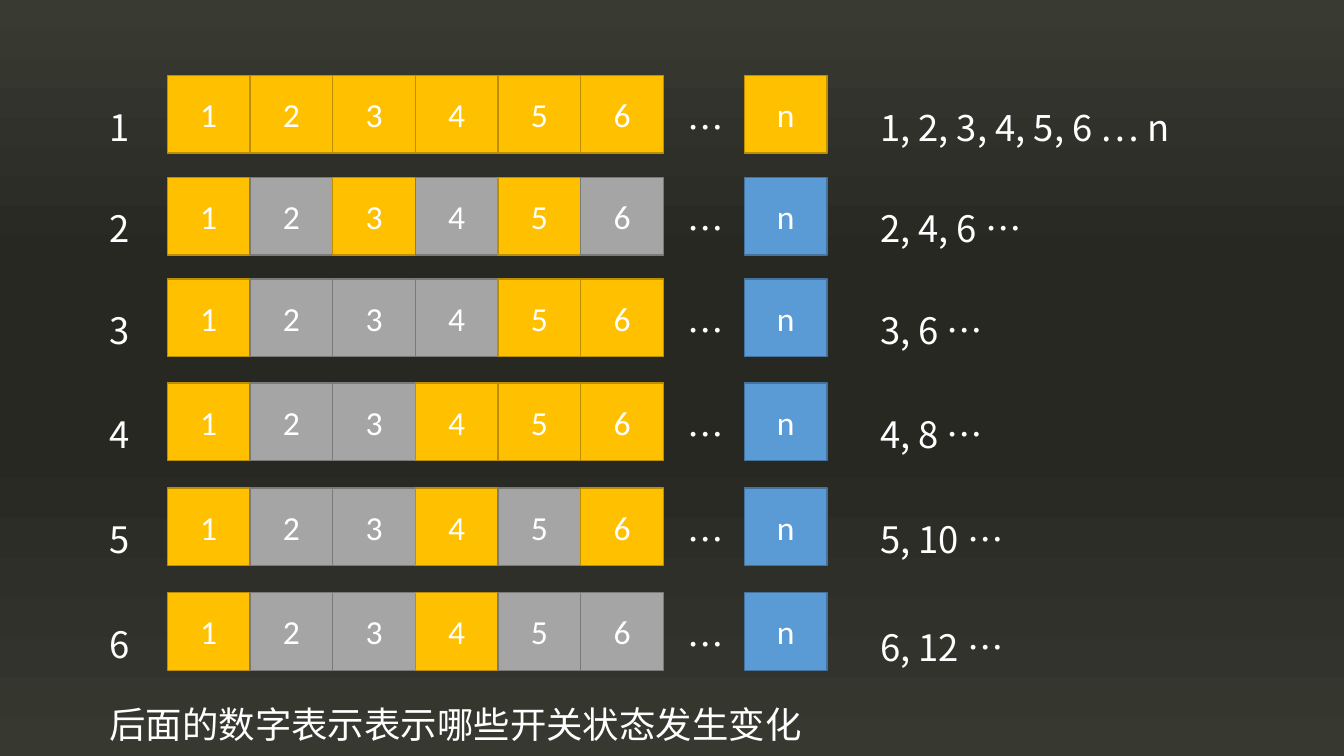
from pptx import Presentation
from pptx.dml.color import RGBColor
from pptx.enum.lang import MSO_LANGUAGE_ID
from pptx.enum.shapes import MSO_SHAPE
from pptx.enum.text import MSO_ANCHOR, MSO_AUTO_SIZE, PP_ALIGN
from pptx.oxml import parse_xml
from pptx.oxml.ns import nsdecls
from pptx.util import Inches, Pt

RECTANGLE = MSO_SHAPE.RECTANGLE
MIDDLE, TOP = MSO_ANCHOR.MIDDLE, MSO_ANCHOR.TOP
CENTER, LEFT = PP_ALIGN.CENTER, PP_ALIGN.LEFT
GROW = MSO_AUTO_SIZE.SHAPE_TO_FIT_TEXT
CHINESE, ENGLISH = MSO_LANGUAGE_ID.SIMPLIFIED_CHINESE, MSO_LANGUAGE_ID.ENGLISH_US

# Colours: each switch state is a fill and its outline
WHITE = RGBColor(0xFF, 0xFF, 0xFF)
ON = RGBColor(0xFF, 0xC0, 0x00), RGBColor(0xBD, 0x8E, 0x00)
OFF = RGBColor(0xA5, 0xA5, 0xA5), RGBColor(0x7A, 0x7A, 0x7A)
UNKNOWN = RGBColor(0x5B, 0x9B, 0xD5), RGBColor(0x43, 0x73, 0x9E)
BACKDROP = (
    (0, RGBColor(0x39, 0x3A, 0x32)),
    (35, RGBColor(0x27, 0x28, 0x22)),
    (58, RGBColor(0x27, 0x28, 0x22)),
    (100, RGBColor(0x37, 0x38, 0x30)),
)

# Grid: column 0 is the first switch; row tops are in inches
GRID_LEFT, COLUMN, CELL_WIDTH, CELL_HEIGHT = 1.66, 0.82, 0.82, 0.77
ROW_TOPS = (0.75, 1.76, 2.77, 3.8, 4.84, 5.88)
LABEL_COLUMN, DOTS_COLUMN, N_COLUMN, CHANGES_COLUMN = -0.82, 6.17, 6.98, 8.5
TEXT_DROP, TEXT_HEIGHT = 0.24, 0.54
SWITCHES = range(1, 7)

CHANGES = ("1, 2, 3, 4, 5, 6 … n", "2, 4, 6 … ", "3, 6 … ",
           "4, 8 … ", "5, 10 … ", "6, 12 … ")
CAPTION = "后面的数字表示表示哪些开关状态发生变化"


class Board:
    text_font, cell_font = "Noto Sans CJK SC", "Calibri"
    text_size, cell_size = Pt(26), Pt(24)

    def __init__(self, page):
        self.page = page

    def place(self, column, top, width, height):
        left = GRID_LEFT + column * COLUMN
        return [Inches(length) for length in (left, top, width, height)]

    def backdrop(self, stops):
        fill = self.page.background.fill
        fill.gradient()
        fill.gradient_angle = 270
        stop_list = fill.gradient_stops[0]._gs.getparent()
        for old_stop in list(stop_list):
            stop_list.remove(old_stop)
        for percent, color in stops:
            stop_list.append(parse_xml(
                f'<a:gs {nsdecls("a")} pos="{percent * 1000}">'
                f'<a:srgbClr val="{color}"/></a:gs>'))

    def letter(self, box, words, font, size, align, anchor, language):
        frame = box.text_frame
        frame.word_wrap = True
        frame.vertical_anchor = anchor
        para = frame.paragraphs[0]
        para.alignment = align
        span = para.add_run()
        span.text = words
        span.font.name, span.font.size = font, size
        span.font.color.rgb = WHITE
        span.font.language_id = language
        span.font._element.append(
            parse_xml(f'<a:ea {nsdecls("a")} typeface="{self.text_font}"/>'))

    def text(self, parent, words, column, top, width=CELL_WIDTH, language=CHINESE):
        box = parent.shapes.add_textbox(*self.place(column, top, width, TEXT_HEIGHT))
        self.letter(box, words, self.text_font, self.text_size, LEFT, TOP, language)
        box.text_frame.auto_size = GROW

    def cell(self, parent, words, column, top, state):
        box = parent.shapes.add_shape(
            RECTANGLE, *self.place(column, top, CELL_WIDTH, CELL_HEIGHT))
        box.shadow.inherit = False
        box.fill.solid()
        box.fill.fore_color.rgb, box.line.color.rgb = state
        box.line.width = Pt(1)
        self.letter(box, words, self.cell_font, self.cell_size, CENTER, MIDDLE, ENGLISH)

    def switch_row(self, step, top):
        row = self.page.shapes.add_group_shape()
        self.text(row, str(step), LABEL_COLUMN, top + TEXT_DROP)
        for switch in SWITCHES:
            # Every divisor up to this step has flipped the switch once
            flips = sum(switch % divisor == 0 for divisor in range(1, step + 1))
            self.cell(row, str(switch), switch - 1, top, ON if flips % 2 else OFF)
        self.cell(row, "n", N_COLUMN, top, ON if step == 1 else UNKNOWN)
        self.text(row, "…", DOTS_COLUMN, top + TEXT_DROP)


deck = Presentation()
deck.slide_width, deck.slide_height = Inches(13.33), Inches(7.5)
board = Board(deck.slides.add_slide(deck.slide_layouts[6]))
board.backdrop(BACKDROP)

# Switch states after each step
for step, top in enumerate(ROW_TOPS, start=1):
    board.switch_row(step, top)

# Switches changed by each step; the last line sits slightly lower
for top, changes in zip(ROW_TOPS, CHANGES):
    drop = 0.27 if top == ROW_TOPS[-1] else TEXT_DROP
    language = ENGLISH if changes.endswith("n") else CHINESE
    board.text(board.page, changes, CHANGES_COLUMN, top + drop, 4.71, language)

# Caption
board.text(board.page, CAPTION, LABEL_COLUMN, 6.92, 8.77)

deck.save("out.pptx")
